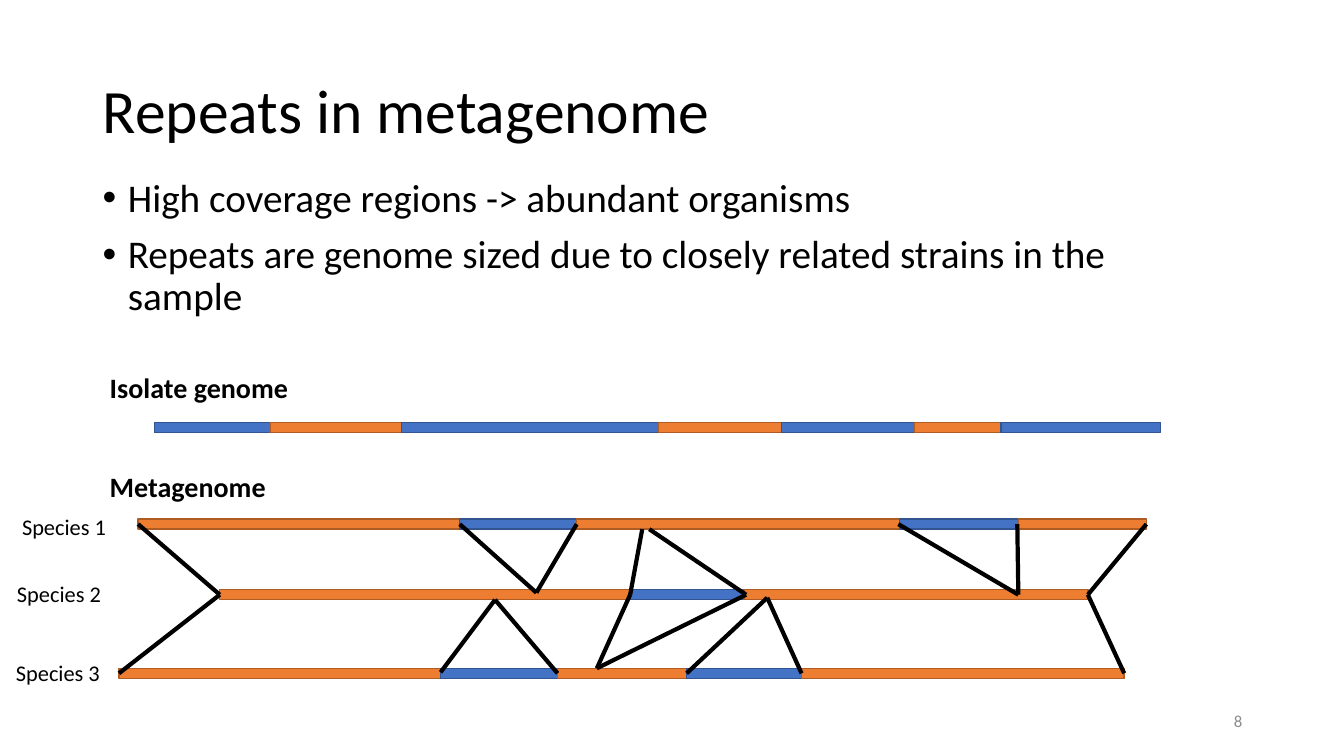
from itertools import cycle, pairwise

from lxml.etree import SubElement
from pptx import Presentation
from pptx.dml.color import RGBColor
from pptx.enum.shapes import MSO_CONNECTOR as CONNECTOR, MSO_SHAPE as SHAPE
from pptx.enum.text import MSO_ANCHOR as ANCHOR, PP_ALIGN as ALIGN
from pptx.oxml.ns import qn
from pptx.util import Inches, Pt

BLACK, GREY = "000000", "8C8C8C"
UNIQUE = ("4472C4", "325491")
REPEAT = ("ED7D31", "AF5C24")


def color(value):
    return RGBColor.from_string(value)


def add_text(box, lines, size, ink=BLACK, bold=False, anchor=ANCHOR.TOP,
             bullet=False, **paragraph_format):
    frame = slide.shapes.add_textbox(*map(Inches, box)).text_frame
    frame.word_wrap = True
    frame.vertical_anchor = anchor
    for number, line in enumerate(lines):
        paragraph = frame.add_paragraph() if number else frame.paragraphs[0]
        paragraph.text = line
        if bullet:
            properties = paragraph._p.get_or_add_pPr()
            properties.set("marL", str(Inches(0.25)))
            properties.set("indent", str(Inches(-0.25)))
            SubElement(properties, qn("a:buFont")).set("typeface", "Arial")
            SubElement(properties, qn("a:buChar")).set("char", "•")
            if number:
                paragraph.space_before = Pt(10)
        for name, value in paragraph_format.items():
            setattr(paragraph, name, value)
        font_format = {"name": "Calibri", "size": Pt(size), "bold": bold}
        for name, value in font_format.items():
            setattr(paragraph.runs[0].font, name, value)
        paragraph.runs[0].font.color.rgb = color(ink)


presentation = Presentation()
presentation.slide_width = Inches(13.33)
presentation.slide_height = Inches(7.5)
slide = presentation.slides.add_slide(presentation.slide_layouts[6])

# Title and bullets
add_text((0.92, 0.4, 11.5, 1.45), ["Repeats in metagenome"], 44,
         anchor=ANCHOR.MIDDLE, line_spacing=0.9)
add_text((0.92, 1.72, 11.12, 1.87), [
    "High coverage regions -> abundant organisms",
    "Repeats are genome sized due to closely related strains in the sample",
], 28, bullet=True, line_spacing=0.9)

# Genomes: top, boundaries between segments, alternating segment kinds
genomes = [
    (5.15, [1.37, 4.56, 5.72, 8.92, 10.1, 11.37], (REPEAT, UNIQUE)),
    (5.85, [2.18, 6.25, 7.38, 10.79], (REPEAT, UNIQUE)),
    (6.63, [1.18, 4.37, 5.53, 6.81, 7.95, 11.15], (REPEAT, UNIQUE)),
    (4.19, [1.53, 2.68, 3.98, 6.53, 7.75, 9.07, 9.93, 11.51], (UNIQUE, REPEAT)),
]
for top, boundaries, kinds in genomes:
    for (left, right), (fill, outline) in zip(pairwise(boundaries), cycle(kinds)):
        segment = slide.shapes.add_shape(
            SHAPE.RECTANGLE, *map(Inches, (left, top, right - left, 0.1)))
        segment.shadow.inherit = False
        segment.fill.solid()
        segment.fill.fore_color.rgb = color(fill)
        segment.line.color.rgb = color(outline)
        segment.line.width = Pt(1)

# Links between matching places in neighbouring species
link_chains = [
    [(1.37, 5.2), (2.18, 5.9), (1.18, 6.68)],
    [(4.56, 5.2), (5.32, 5.88), (5.72, 5.2)],
    [(6.37, 5.25), (6.25, 5.9), (5.92, 6.63), (7.4, 5.9), (6.44, 5.25)],
    [(8.91, 5.2), (10.1, 5.9), (10.09, 5.2)],
    [(11.37, 5.2), (10.79, 5.9), (11.15, 6.68)],
    [(4.37, 6.67), (4.91, 5.95), (5.53, 6.68)],
    [(6.81, 6.68), (7.61, 5.93), (7.95, 6.68)],
]
for chain in link_chains:
    for start, end in pairwise(chain):
        link = slide.shapes.add_connector(
            CONNECTOR.STRAIGHT, *map(Inches, start + end))
        link.line.color.rgb = color(BLACK)
        link.line.width = Pt(3)
        SubElement(link._element.spPr, qn("a:effectLst"))

# Headings and species labels
for heading, top in [("Isolate genome", 3.63), ("Metagenome", 4.61)]:
    add_text((0.99, top, 2.23, 0.44), [heading], 20, bold=True)
species_places = [(0.12, 5.04), (0.07, 5.71), (0.06, 6.49)]
for number, (left, top) in enumerate(species_places, start=1):
    add_text((left, top, 1.05, 0.37), [f"Species {number}"], 16)

# Slide number
add_text((9.42, 6.95, 3, 0.4), ["8"], 12, ink=GREY,
         anchor=ANCHOR.MIDDLE, alignment=ALIGN.RIGHT)

presentation.save("out.pptx")
